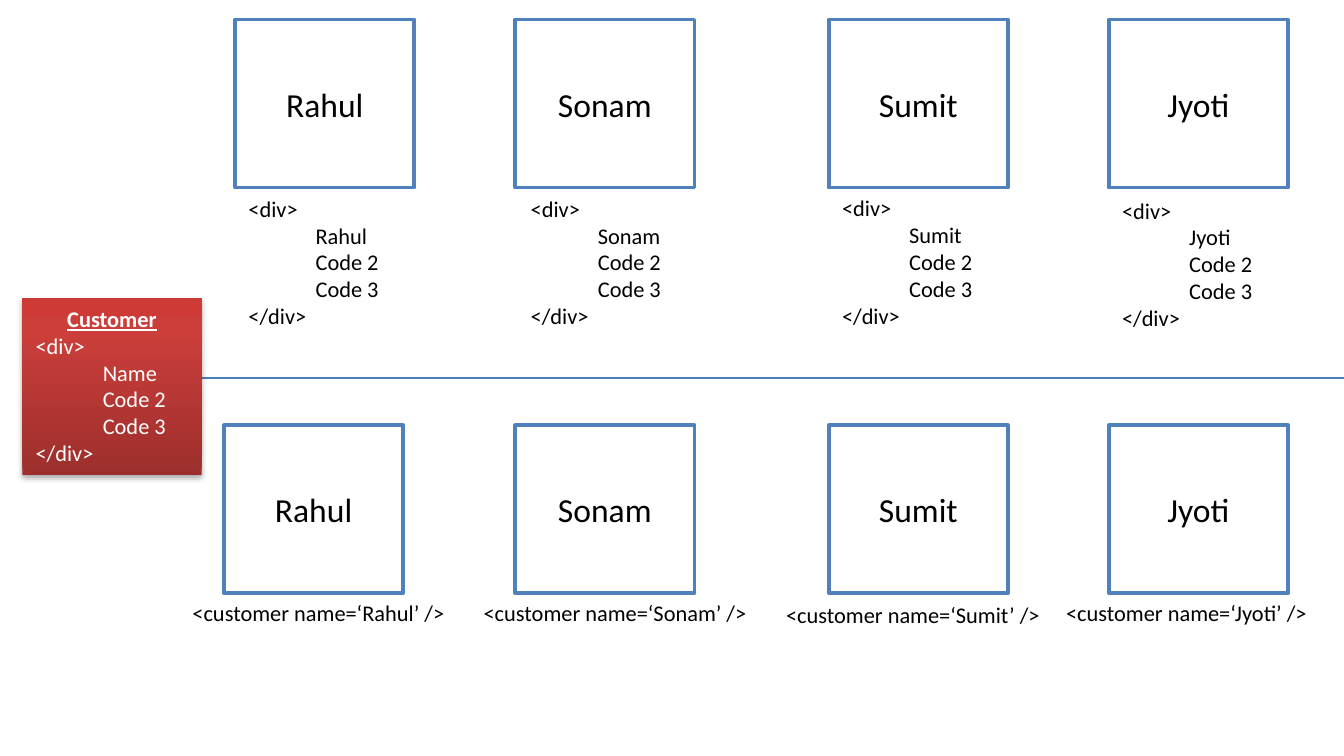
import copy

import pptx
import pptx.dml.color
import pptx.enum.shapes
import pptx.enum.text
import pptx.oxml
import pptx.oxml.ns
import pptx.util

COLOURS = {
    "paper": "FFFFFF", "ink": "000000", "frame": "4F81BD", "divider": "4B7EBC",
    "dark": "9C2F2D", "middle": "CB3E3A", "bright": "CE3B37",
}
WIDTH = 10
HEIGHT = WIDTH * 9 / 16
CELL = WIDTH / 120
SIDE = 16
FRAME_HEIGHT = 15
TOP_ROW, MIDDLE_ROW, LOWER_ROW = 1.75, 33.75, 37.97
FRAME_COLUMNS = (21, 46, 74, 99)
LOWER_COLUMNS = (20, 46, 74, 99)
CODE_SPOTS = ((21, 16.8), (46.2, 16.8), (74, 16.77), (99, 16.97))
TAG_SPOTS = ((16, 52.95), (42, 52.95), (69, 53.12), (94, 52.95))
NAMES = ("Rahul", "Sonam", "Sumit", "Jyoti")
ALIGN = pptx.enum.text.PP_ALIGN
ANCHOR = pptx.enum.text.MSO_ANCHOR
FIT = pptx.enum.text.MSO_AUTO_SIZE.SHAPE_TO_FIT_TEXT
RECTANGLE = pptx.enum.shapes.MSO_SHAPE.RECTANGLE
STRAIGHT = pptx.enum.shapes.MSO_CONNECTOR.STRAIGHT


def grid(*cells):
    """Turn grid cells into lengths."""
    return [pptx.util.Inches(cell * CELL) for cell in cells]


def colour(name):
    """Return a named colour."""
    return pptx.dml.color.RGBColor.from_string(COLOURS[name])


def apply(target, values):
    """Set attributes from a dict of format values."""
    for key, value in values.items():
        setattr(target, key, value)


def write(box, lines, size, ink="ink", **frame_values):
    """Write lines, each given as text, paragraph values and font values."""
    frame = box.text_frame
    apply(frame, {"word_wrap": True, **frame_values})
    for index, (text, para_values, font_values) in enumerate(lines):
        para = frame.add_paragraph() if index else frame.paragraphs[0]
        apply(para, {"alignment": ALIGN.LEFT, **para_values})
        span = para.add_run()
        span.text = text
        apply(span.font, {"name": "Calibri", "size": pptx.util.Pt(size), **font_values})
        span.font.color.rgb = colour(ink)


def code_lines(first):
    """List the lines of a div block."""
    inner = [(text, {"level": 1}, {}) for text in (first, "Code 2", "Code 3")]
    return [("<div>", {}, {}), *inner, ("</div>", {}, {})]


def add_frame(page, name, column, row):
    """Add an outlined rectangle with a centred name."""
    box = page.shapes.add_shape(RECTANGLE, *grid(column, row, SIDE, FRAME_HEIGHT))
    box.shadow.inherit = False
    box.fill.solid()
    box.fill.fore_color.rgb = colour("paper")
    box.line.color.rgb = colour("frame")
    box.line.width = pptx.util.Pt(2)
    write(box, [(name, {"alignment": ALIGN.CENTER}, {})], 18,
          vertical_anchor=ANCHOR.MIDDLE)


def add_text(page, lines, column, row, width, height):
    """Add a text box of small lines."""
    box = page.shapes.add_textbox(*grid(column, row, width, height))
    write(box, lines, 12, auto_size=FIT)


def add_divider(page):
    """Add the line between the two rows."""
    line = page.shapes.add_connector(STRAIGHT, *grid(18, MIDDLE_ROW, 120, MIDDLE_ROW))
    line.line.color.rgb = colour("divider")
    line.line.width = pptx.util.Pt(0.75)
    line._element.spPr.append(pptx.oxml.parse_xml(
        f'<a:effectLst {pptx.oxml.ns.nsdecls("a")}/>'))


def add_customer_card(page):
    """Add the shaded component card with its soft shadow."""
    box = page.shapes.add_shape(RECTANGLE, *grid(2, 26.64, SIDE, 15.75))
    box.line.fill.background()
    box.fill.gradient()
    box.fill.gradient_angle = 90
    properties = box._element.spPr
    stops = properties.find(".//" + pptx.oxml.ns.qn("a:gsLst"))
    stops.append(copy.deepcopy(stops[0]))
    shades = (("dark", 0), ("middle", 0.8), ("bright", 1))
    for stop, (name, position) in zip(box.fill.gradient_stops, shades):
        stop.color.rgb = colour(name)
        stop.position = position
    properties.append(pptx.oxml.parse_xml(
        f'<a:effectLst {pptx.oxml.ns.nsdecls("a")}>'
        '<a:outerShdw blurRad="40000" dist="23000" dir="5400000" rotWithShape="0">'
        f'<a:srgbClr val="{COLOURS["ink"]}"><a:alpha val="35000"/></a:srgbClr>'
        '</a:outerShdw></a:effectLst>'))
    title = ("Customer", {"alignment": ALIGN.CENTER}, {"bold": True, "underline": True})
    write(box, [title, *code_lines("Name")], 12, "paper",
          auto_size=FIT, vertical_anchor=ANCHOR.TOP)


def main():
    """Build the slide and save it."""
    deck = pptx.Presentation()
    apply(deck, {"slide_width": pptx.util.Inches(WIDTH),
                 "slide_height": pptx.util.Inches(HEIGHT)})
    page = deck.slides.add_slide(deck.slide_layouts[6])
    for name, column, spot in zip(NAMES, FRAME_COLUMNS, CODE_SPOTS):
        add_frame(page, name, column, TOP_ROW)
        add_text(page, code_lines(name), *spot, SIDE, 13.3)
    add_divider(page)
    add_customer_card(page)
    for name, column, spot in zip(NAMES, LOWER_COLUMNS, TAG_SPOTS):
        add_frame(page, name, column, LOWER_ROW)
        add_text(page, [(f"<customer name=‘{name}’ />", {}, {})], *spot, 26, 3.6)
    deck.save("out.pptx")


if __name__ == "__main__":
    main()
